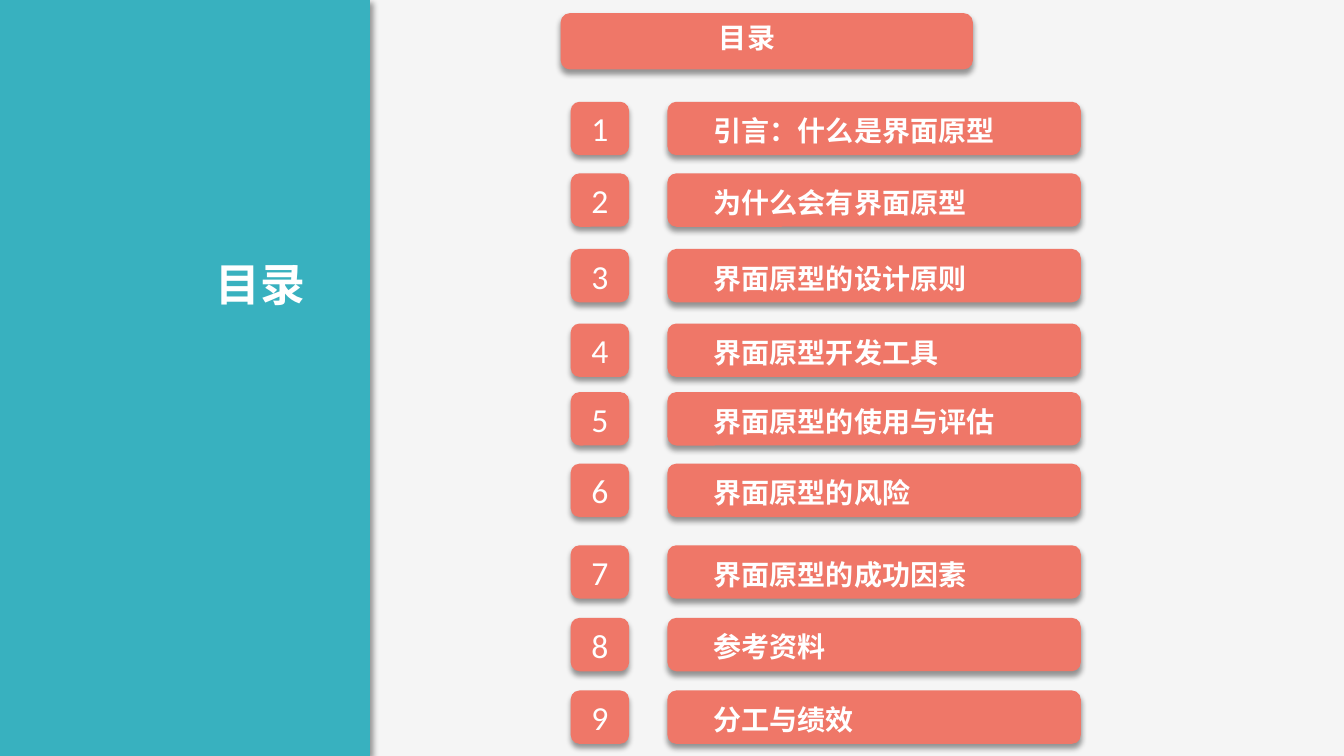
from lxml import etree
from pptx import Presentation
from pptx.dml.color import RGBColor
from pptx.enum.shapes import MSO_SHAPE
from pptx.enum.text import MSO_ANCHOR, PP_ALIGN
from pptx.oxml.ns import qn
from pptx.util import Inches, Pt

RECT, ROUNDED = MSO_SHAPE.RECTANGLE, MSO_SHAPE.ROUNDED_RECTANGLE
LEFT, CENTER, RIGHT = PP_ALIGN.LEFT, PP_ALIGN.CENTER, PP_ALIGN.RIGHT
TOP, MIDDLE = MSO_ANCHOR.TOP, MSO_ANCHOR.MIDDLE

COLORS = {"background": "F5F5F5", "panel": "38B1BF", "bar": "EF7768",
          "text": "FFFFFF", "shadow": "000000"}
HEADING_FONT, NUMBER_FONT = "Noto Sans CJK SC", "Calibri"

NUMBER_LEFT, NUMBER_WIDTH = 5.66, 0.58
BAR_LEFT, BAR_WIDTH, BAR_HEIGHT = 6.62, 4.1, 0.53

# Top of each row and its heading
CONTENTS = [
    (1.01, "引言：什么是界面原型"),
    (1.72, "为什么会有界面原型"),
    (2.47, "界面原型的设计原则"),
    (3.21, "界面原型开发工具"),
    (3.89, "界面原型的使用与评估"),
    (4.6, "界面原型的风险"),
    (5.41, "界面原型的成功因素"),
    (6.13, "参考资料"),
    (6.85, "分工与绩效"),
]


def rgb(name):
    return RGBColor.from_string(COLORS[name])


def add_shadow(sp, degrees):
    sp.shadow.inherit = False
    effects = sp.element.spPr.find(qn("a:effectLst"))
    shadow = etree.SubElement(effects, qn("a:outerShdw"), blurRad=str(Pt(4)),
                              dist=str(Pt(3)), dir=str(degrees * 60000),
                              algn="t", rotWithShape="0")
    color = etree.SubElement(shadow, qn("a:srgbClr"), val=COLORS["shadow"])
    etree.SubElement(color, qn("a:alpha"), val="40000")


def add_block(shapes, kind, left, top, width, height, color, degrees=90):
    sp = shapes.add_shape(kind, Inches(left), Inches(top),
                          Inches(width), Inches(height))
    sp.fill.solid()
    sp.fill.fore_color.rgb = rgb(color)
    sp.line.fill.background()
    add_shadow(sp, degrees)
    return sp


def write_text(sp, text, size, font, align, anchor=TOP, bold=False):
    tf = sp.text_frame
    tf.text = text
    tf.word_wrap = True
    tf.vertical_anchor = anchor
    tf.margin_left = tf.margin_right = Inches(0.13)
    tf.margin_top = tf.margin_bottom = Inches(0.07)
    p = tf.paragraphs[0]
    p.alignment = align
    p.font.size, p.font.bold, p.font.name = Pt(size), bold, font
    p.font.color.rgb = rgb("text")
    # East Asian characters take their own typeface
    for props in sp.element.iter(qn("a:defRPr")):
        etree.SubElement(props, qn("a:ea"), typeface=font)


def add_heading_bar(slide, bar, label, text, align):
    group = slide.shapes.add_group_shape()
    add_block(group.shapes, ROUNDED, *bar, "bar")
    box = group.shapes.add_textbox(*map(Inches, label))
    write_text(box, text, 20, HEADING_FONT, align, bold=True)


def add_number(slide, number, top):
    sp = add_block(slide.shapes, ROUNDED, NUMBER_LEFT, top,
                   NUMBER_WIDTH, BAR_HEIGHT, "bar")
    write_text(sp, str(number), 24, NUMBER_FONT, CENTER, MIDDLE)


def add_side_title(slide, text):
    panel = add_block(slide.shapes, RECT, 0, 0, 3.67, 7.5, "panel", 45)
    title = slide.shapes.title
    title.element.addprevious(panel.element)
    title.left, title.top = Inches(0.09), Inches(2.48)
    title.width, title.height = Inches(3.07), Inches(0.67)
    write_text(title, text, 32, HEADING_FONT, RIGHT, bold=True)


def main():
    prs = Presentation()
    prs.slide_width, prs.slide_height = Inches(13.33), Inches(7.5)
    slide = prs.slides.add_slide(prs.slide_layouts[5])
    slide.background.fill.solid()
    slide.background.fill.fore_color.rgb = rgb("background")

    # Side panel and top heading
    add_side_title(slide, "目录")
    add_heading_bar(slide, (5.56, 0.13, 4.09, 0.56),
                    (5.96, 0.13, 2.9, 0.47), "目录", CENTER)

    # Numbered contents
    for number, (top, text) in enumerate(CONTENTS, 1):
        add_number(slide, number, top)
        add_heading_bar(slide, (BAR_LEFT, top, BAR_WIDTH, BAR_HEIGHT),
                        (BAR_LEFT + 0.33, top + 0.05, 3.26, 0.47), text, LEFT)

    prs.save("out.pptx")


if __name__ == "__main__":
    main()
